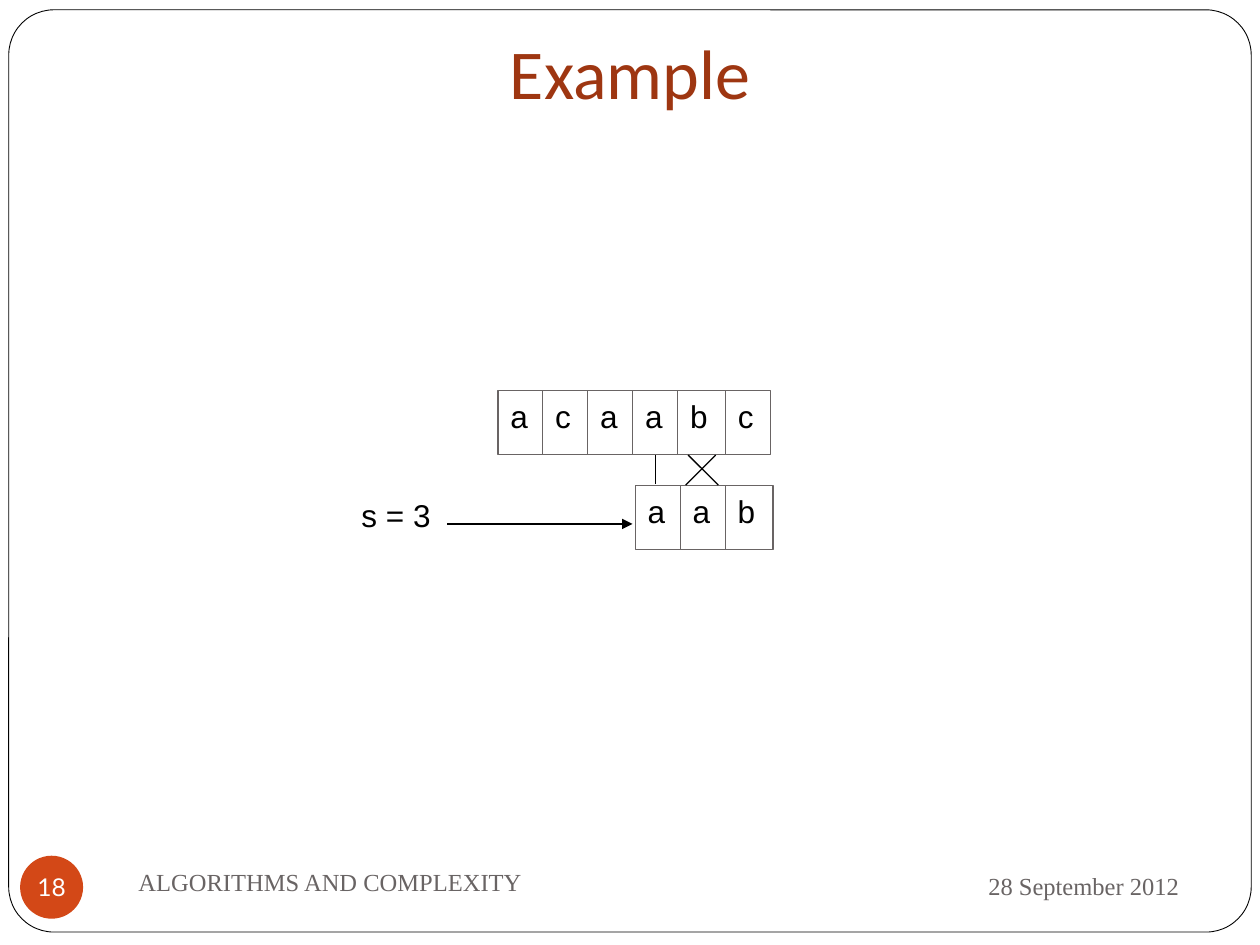
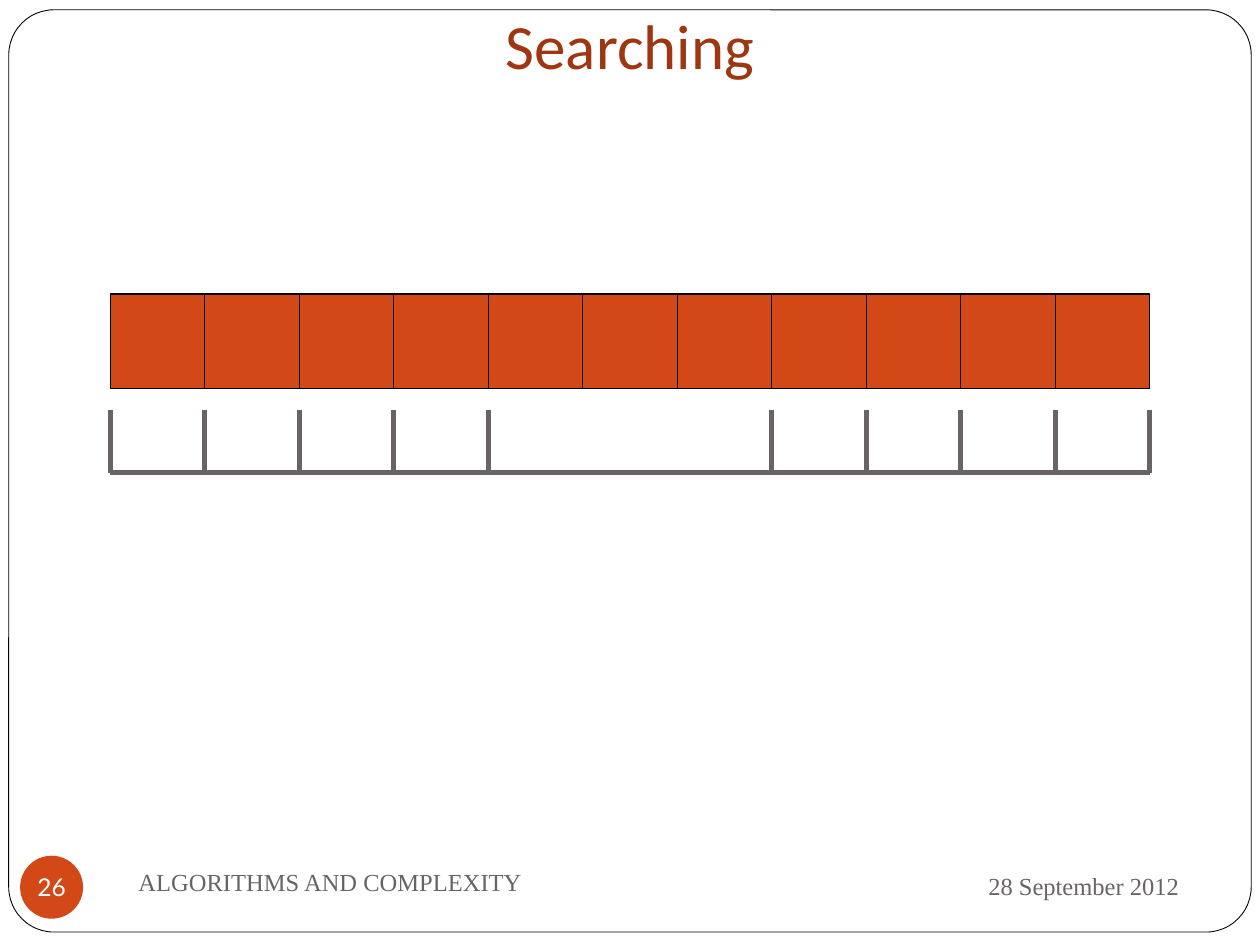
from pptx import Presentation
from pptx.dml.color import RGBColor
from pptx.enum.shapes import MSO_CONNECTOR, MSO_SHAPE
from pptx.enum.text import MSO_ANCHOR, MSO_AUTO_SIZE, PP_ALIGN
from pptx.oxml.ns import qn
from pptx.util import Pt
from lxml import etree

LINE = MSO_CONNECTOR.STRAIGHT
RECT, OVAL, ROUND = MSO_SHAPE.RECTANGLE, MSO_SHAPE.OVAL, MSO_SHAPE.ROUNDED_RECTANGLE
LEFT, MID, RIGHT = PP_ALIGN.LEFT, PP_ALIGN.CENTER, PP_ALIGN.RIGHT
TOP, CENTER, LOW = MSO_ANCHOR.TOP, MSO_ANCHOR.MIDDLE, MSO_ANCHOR.BOTTOM
FIXED = MSO_AUTO_SIZE.NONE

WIDE, HIGH = 720, 540
COLORS = {"page": "FFFFFF", "ink": "000000", "gray": "696464",
          "accent": "D34817", "title": "9E3611"}
FONTS = {
    "title": {"name": "Calibri"},
    "foot": {"name": "Times New Roman", "size": Pt(14)},
    "badge": {"name": "Lato", "size": Pt(14)},
    "cell": {"name": "Arial", "size": Pt(18)},
}
INSETS = (7.2, 3.6, 7.2, 3.6)


def tint(name):
    return RGBColor.from_string(COLORS[name])


def put(target, values):
    for key, value in values.items():
        setattr(target, key, value)


def write(shape, text, font, color, align=LEFT, anchor=TOP, wrap=True, insets=INSETS):
    frame = shape.text_frame
    sides = ("margin_left", "margin_top", "margin_right", "margin_bottom")
    put(frame, dict(zip(sides, map(Pt, insets))))
    put(frame, {"text": text, "auto_size": FIXED, "word_wrap": wrap,
                "vertical_anchor": anchor})
    para = frame.paragraphs[0]
    para.alignment = align
    run = para.runs[0]
    put(run.font, font)
    run.font.color.rgb = tint(color)


def draw(shapes, kind, box, fill=None, line=None, width=0.75):
    shape = shapes.add_shape(kind, *map(Pt, box))
    shape.shadow.inherit = False
    if fill:
        shape.fill.solid()
        shape.fill.fore_color.rgb = tint(fill)
    else:
        shape.fill.background()
    if line:
        shape.line.color.rgb = tint(line)
        shape.line.width = Pt(width)
    else:
        shape.line.fill.background()
    return shape


def link(shapes, start, end, color="ink", width=0.75, arrow=False):
    line = shapes.add_connector(LINE, *map(Pt, (*start, *end)))
    line.line.color.rgb = tint(color)
    line.line.width = Pt(width)
    props = line._element.spPr
    if arrow:
        etree.SubElement(props.find(qn("a:ln")), qn("a:tailEnd"), type="triangle")
    etree.SubElement(props, qn("a:effectLst"))
    return line


def note(slide, box, text, font, color, **style):
    write(slide.shapes.add_textbox(*map(Pt, box)), text, font, color, **style)


def page(deck, title, number, depth, size):
    """Add a slide with frame, footers and a title band of the given depth."""
    slide = deck.slides.add_slide(deck.slide_layouts[5])
    shapes = slide.shapes
    frame = draw(shapes, ROUND, (5, 5.6, 710, 527), "page", "ink", 0.5)
    frame.adjustments[0] = 0.049
    note(slide, (486, 487.4, 195, 37.4), "28 September 2012", FONTS["foot"], "gray",
         align=RIGHT, anchor=CENTER)
    badge = draw(shapes, OVAL, (11.5, 489, 36, 36), "accent")
    write(badge, str(number), FONTS["badge"], "page", MID, CENTER, False, (0, 0, 0, 0))
    note(slide, (72, 486, 312, 36), "ALGORITHMS AND COMPLEXITY", FONTS["foot"], "gray",
         anchor=CENTER)
    head = shapes.title
    put(head, {"left": 0, "top": 0, "width": Pt(WIDE), "height": Pt(depth)})
    write(head, title, {**FONTS["title"], "size": Pt(size)}, "title", MID, LOW,
          insets=(7.2, 3.6, 7.2, 7.2))
    shapes._spTree.append(head._element)
    return slide


def word(slide, left, top, text):
    """Draw one cell per letter and return the cells."""
    cells = []
    for letter in text:
        width = 27.3 if letter == "b" else 25.7
        cell = draw(slide.shapes, RECT, (left, top, width, 36.7), line="gray")
        write(cell, letter, FONTS["cell"], "ink", wrap=False)
        cells.append(cell)
        left += width
    return cells


def match(slide, left, top):
    """Show the pattern below the text at shift 3, with its compared letters."""
    shapes = slide.shapes
    upper = word(slide, left + 85, top, "acaabc")
    word(slide, left + 163.5, top + 54.2, "aab")
    note(slide, (left, top + 56.9, 61, 36), "s = 3", FONTS["cell"], "ink", wrap=False)
    link(shapes, (left + 56.2, top + 76.2), (left + 162, top + 76.2), arrow=True)
    hit = upper[3]
    axis = (hit.left + hit.width / 2) / Pt(1)
    same = link(shapes, (axis, top + 53.5), (axis, top + 36.7))
    same.end_connect(hit, 2)
    for start, end in ((193.7, 211), (209.5, 192.3)):
        link(shapes, (left + start, top + 36.8), (left + end, top + 54))


def search(slide, left, top, side=54, count=11, span=7):
    """Draw a row of cells and one bracket for each place of the window."""
    row = slide.shapes.add_group_shape()
    for i in range(count):
        draw(row.shapes, RECT, (left + i * side, top, side, side), "accent", "ink")
    high, low = top + 66, top + 102
    for i in range(count - span + 1):
        start = left + i * side
        end = start + span * side
        shapes = slide.shapes.add_group_shape().shapes
        for a, b in (((start, high), (start, low)), ((end, high), (end, low)),
                     ((start, low), (end, low))):
            link(shapes, a, b, "gray", 3)


def main():
    deck = Presentation()
    put(deck, {"slide_width": Pt(WIDE), "slide_height": Pt(HIGH)})
    match(page(deck, "Example", 18, 72, 40), 199.5, 223.2)
    search(page(deck, "Searching", 26, 54, 36), 63, 168)
    deck.save("out.pptx")


if __name__ == "__main__":
    main()
